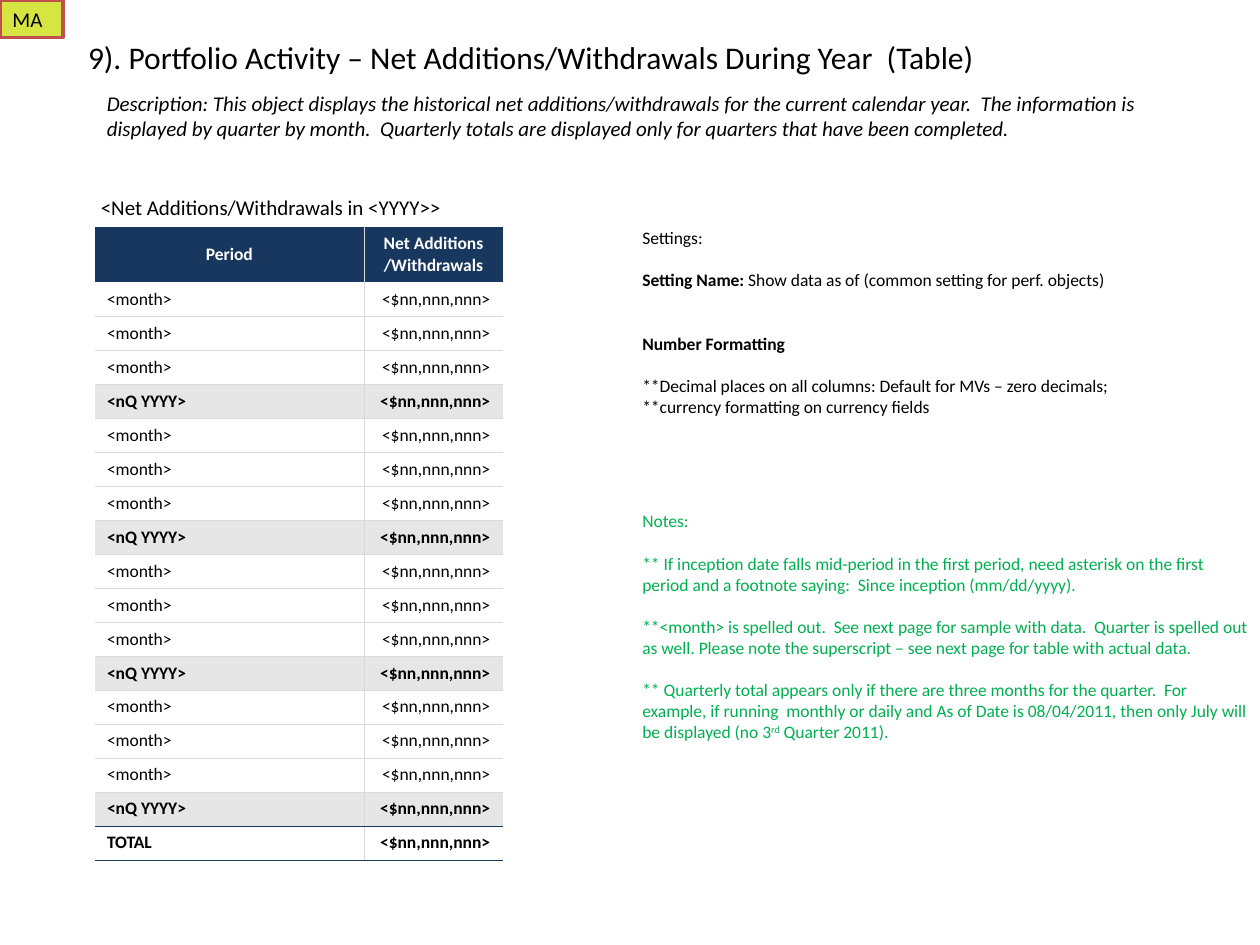
from lxml import etree
from pptx import Presentation
from pptx import util as u
from pptx.dml.color import RGBColor
from pptx.enum import shapes, text
from pptx.oxml.ns import qn

BLACK = RGBColor(0x00, 0x00, 0x00)
WHITE = RGBColor(0xFF, 0xFF, 0xFF)
GREEN = RGBColor(0x00, 0xB0, 0x50)
NAVY = RGBColor(0x17, 0x37, 0x5E)
RULE = RGBColor(0xD9, 0xD9, 0xD9)
BAND = RGBColor(0xE6, 0xE6, 0xE6)
LIME = RGBColor(0xD6, 0xE5, 0x42)
BRICK = RGBColor(0xC0, 0x50, 0x4D)

LINE = 12.2  # height in points of one line of body text
NO_STYLE = "{2D5ABB26-0587-4C30-8999-92F81FD0307C}"
LEFT, CENTER, RIGHT = (text.PP_ALIGN.LEFT, text.PP_ALIGN.CENTER,
                       text.PP_ALIGN.RIGHT)
TOP, MIDDLE, BOTTOM = (text.MSO_ANCHOR.TOP, text.MSO_ANCHOR.MIDDLE,
                       text.MSO_ANCHOR.BOTTOM)


class Sheet:
    """Style and current slide; lengths are quarter-inch columns and rows."""
    font = "Calibri"
    unit = u.Inches(0.25)

    def __init__(self, deck):
        self.page = deck.slides.add_slide(deck.slide_layouts[6])

    def grid(self, *counts):
        return [round(count * self.unit) for count in counts]

    def style(self, font, size, color, bold=False, italic=False):
        font.name, font.size, font.bold, font.italic = (
            self.font, u.Pt(size), bold, italic)
        font.color.rgb = color

    def fill_frame(self, frame, paras, size=10, color=BLACK, bold=False,
                   italic=False, align=LEFT):
        """Fill a frame; each para is a string or (blank lines above, spans).

        A span is a string or (string, "bold" or "super").
        """
        for index, item in enumerate(paras):
            gap, spans = (0, [item]) if isinstance(item, str) else item
            para = frame.paragraphs[0] if index == 0 else frame.add_paragraph()
            para.alignment = align
            if gap:
                para.space_before = u.Pt(gap * LINE)
            for piece in spans:
                words, kind = (piece, "") if isinstance(piece, str) else piece
                span = para.add_run()
                span.text = words
                self.style(span.font, size, color, bold or kind == "bold",
                           italic)
                if kind == "super":
                    span.font._element.set("baseline", "30000")

    def text(self, place, paras, wrap=True, anchor=TOP, **look):
        box = self.page.shapes.add_textbox(*self.grid(*place))
        box.text_frame.word_wrap = wrap
        box.text_frame.vertical_anchor = anchor
        self.fill_frame(box.text_frame, paras, **look)

    def tag(self, place, label):
        box = self.page.shapes.add_shape(
            shapes.MSO_SHAPE.RECTANGLE, *self.grid(*place))
        box.shadow.inherit = False
        box.fill.solid()
        box.fill.fore_color.rgb = LIME
        box.line.color.rgb = BRICK
        box.line.width = u.Pt(2)
        box.text_frame.vertical_anchor = TOP
        self.fill_frame(box.text_frame, [label], size=12)

    def table(self, left, top, widths, heights):
        frame = self.page.shapes.add_table(
            len(heights), len(widths),
            *self.grid(left, top, sum(widths), sum(heights)))
        table = frame.table
        table.first_row = table.horz_banding = False
        table._tbl.tblPr.find(qn("a:tableStyleId")).text = NO_STYLE
        for column, width in zip(table.columns, self.grid(*widths)):
            column.width = width
        for row, height in zip(table.rows, self.grid(*heights)):
            row.height = height
        return table

    def cell(self, cell, paras, fill=None, borders=(), anchor=MIDDLE, **look):
        """Fill a cell; borders are (side, colour) in the order L, R, T, B."""
        properties = cell._tc.get_or_add_tcPr()
        for side, color in borders:
            line = etree.SubElement(properties, qn("a:ln" + side),
                                    w=str(u.Pt(0.23)))
            solid = etree.SubElement(line, qn("a:solidFill"))
            etree.SubElement(solid, qn("a:srgbClr"), val=str(color))
        if fill is None:
            cell.fill.background()
        else:
            cell.fill.solid()
            cell.fill.fore_color.rgb = fill
        cell.vertical_anchor = anchor
        self.fill_frame(cell.text_frame, paras, **look)


def activity_table(sheet):
    quarter = ["<month>"] * 3 + ["<nQ YYYY>"]
    periods = quarter * 4 + ["TOTAL"]
    table = sheet.table(3, 6, [8.56, 4.4], [1.2, 1.76] + [1.08] * len(periods))

    caption = table.cell(0, 0)
    caption.merge(table.cell(0, 1))
    caption.margin_left = u.Inches(0.05)
    sheet.cell(caption, ["<Net Additions/Withdrawals in <YYYY>>"],
               anchor=BOTTOM, size=12)

    headings = [["Period"], ["Net Additions", "/Withdrawals"]]
    for column, (heading, inner) in enumerate(zip(headings, "RL")):
        sheet.cell(table.cell(1, column), heading, NAVY, [(inner, RULE)],
                   color=WHITE, bold=True, align=CENTER)

    last = len(periods) - 1
    for index, period in enumerate(periods):
        above = NAVY if index == last else RULE
        below = NAVY if index >= last - 1 else RULE
        edges = [("T", above)] * (index > 0) + [("B", below)]
        fill = BAND if period == "<nQ YYYY>" else WHITE
        columns = [(period, "R", LEFT), ("<$nn,nnn,nnn>", "L", RIGHT)]
        for column, (words, inner, align) in enumerate(columns):
            sheet.cell(table.cell(index + 2, column), [words], fill,
                       [(inner, RULE)] + edges,
                       bold=period != "<month>", align=align)


def main():
    deck = Presentation()
    deck.slide_width, deck.slide_height = u.Inches(10), u.Inches(7.5)
    sheet = Sheet(deck)

    sheet.text((2.4, 1, 29.16, 1.6), [
        "9). Portfolio Activity – Net Additions/Withdrawals During Year  (Table)"
    ], wrap=False, size=18)
    sheet.text((20, 7, 16, 7.08), [
        "Settings:",
        (1, [("Setting Name:", "bold"),
             " Show data as of (common setting for perf. objects)"]),
        (2, [("Number Formatting", "bold")]),
        (1, ["**Decimal places on all columns: Default for MVs – zero decimals; "
             "**currency formatting on currency fields"]),
    ])
    sheet.text((3, 2, 36, 2.68), [
        "Description: This object displays the historical net "
        "additions/withdrawals for the current calendar year.  The information "
        "is displayed by quarter by month.  Quarterly totals are displayed only "
        "for quarters that have been completed."
    ], anchor=BOTTOM, size=12, italic=True)
    sheet.text((20, 16, 20, 7.76), [
        "Notes:",
        (1, ["** If inception date falls mid-period in the first period, need "
             "asterisk on the first period and a footnote saying:  Since "
             "inception (mm/dd/yyyy)."]),
        (1, ["**<month> is spelled out.  See next page for sample with data.  "
             "Quarter is spelled out as well. Please note the superscript – see "
             "next page for table with actual data."]),
        (1, ["** Quarterly total appears only if there are three months for the "
             "quarter.  For example, if running  monthly or daily and As of Date "
             "is 08/04/2011, then only July will be displayed (no 3",
             ("rd", "super"), " Quarter 2011)."]),
    ], color=GREEN)
    activity_table(sheet)
    sheet.tag((0, 0, 2, 1.2), "MA")

    deck.save("out.pptx")


if __name__ == "__main__":
    main()
